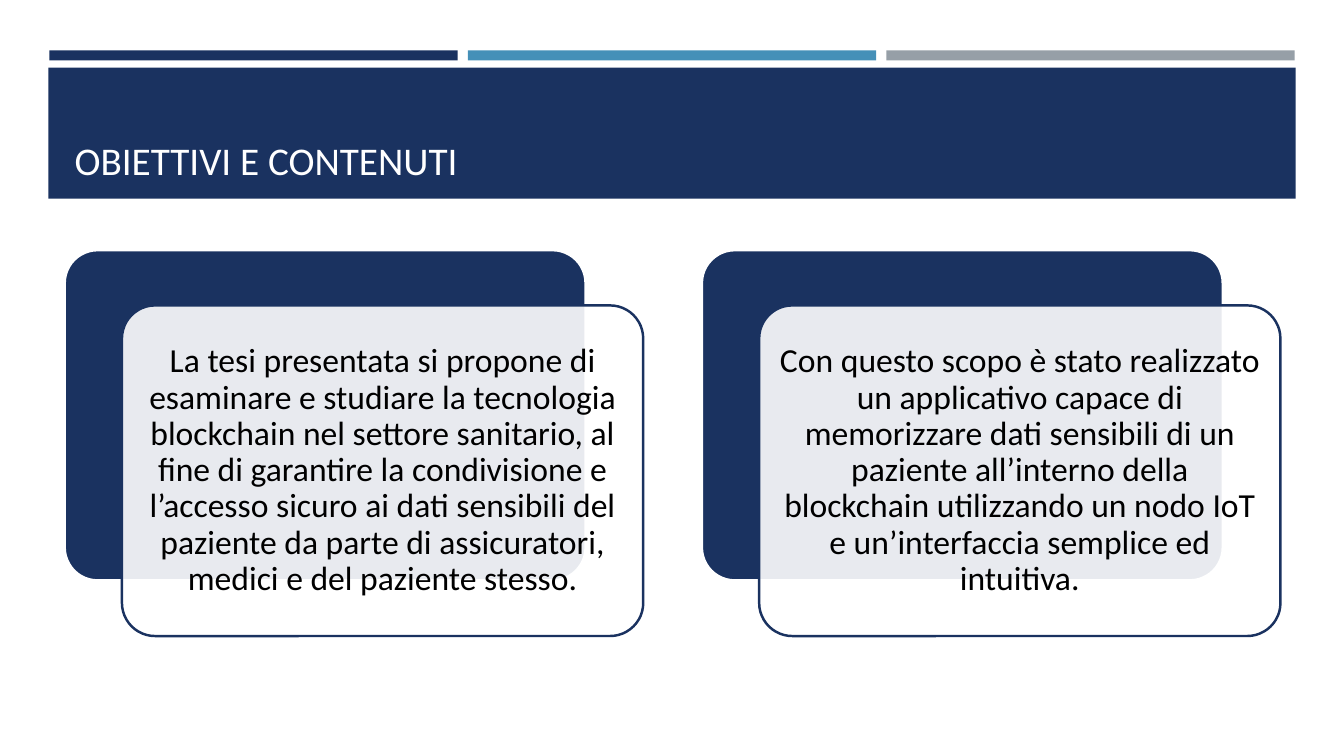
import pptx
import pptx.util
import pptx.dml.color
import pptx.enum.shapes
import pptx.enum.text
import lxml.etree
import pptx.oxml.ns

Inches = pptx.util.Inches
Pt = pptx.util.Pt
RGBColor = pptx.dml.color.RGBColor
MSO_SHAPE = pptx.enum.shapes.MSO_SHAPE
MSO_ANCHOR = pptx.enum.text.MSO_ANCHOR
PP_ALIGN = pptx.enum.text.PP_ALIGN

NAVY = RGBColor(0x1A, 0x32, 0x60)
BLUE = RGBColor(0x45, 0x90, 0xB8)
GREY = RGBColor(0x96, 0x9F, 0xA7)
WHITE = RGBColor(0xFF, 0xFF, 0xFF)
BLACK = RGBColor(0x00, 0x00, 0x00)

GOALS = [
    "La tesi presentata si propone di esaminare e studiare la tecnologia "
    "blockchain nel settore sanitario, al fine di garantire la condivisione "
    "e l’accesso sicuro ai dati sensibili del paziente da parte di "
    "assicuratori, medici e del paziente stesso.",
    "Con questo scopo è stato realizzato un applicativo capace di "
    "memorizzare dati sensibili di un paziente all’interno della blockchain "
    "utilizzando un nodo IoT e un’interfaccia semplice ed intuitiva.",
]

presentation = pptx.Presentation()
presentation.slide_width = Inches(13.33)
presentation.slide_height = Inches(7.5)
slide = presentation.slides.add_slide(presentation.slide_layouts[5])


def add_block(kind, left, top, width, height, fill):
    block = slide.shapes.add_shape(
        kind, Inches(left), Inches(top), Inches(width), Inches(height))
    block.shadow.inherit = False
    block.fill.solid()
    block.fill.fore_color.rgb = fill
    block.line.fill.background()
    return block


def format_text(frame, size, color, anchor, alignment):
    frame.word_wrap = True
    frame.auto_size = pptx.enum.text.MSO_AUTO_SIZE.NONE
    frame.vertical_anchor = anchor
    frame.margin_left = frame.margin_right = Inches(0.1)
    paragraph = frame.paragraphs[0]
    paragraph.alignment = alignment
    paragraph.line_spacing = 0.9
    font = paragraph.runs[0].font
    font.name = "Calibri"
    font.size = Pt(size)
    font.color.rgb = color


for column, color in enumerate([NAVY, BLUE, GREY]):
    add_block(MSO_SHAPE.RECTANGLE, 0.49 + column * 4.15, 0.5, 4.05, 0.1, color)
add_block(MSO_SHAPE.RECTANGLE, 0.48, 0.67, 12.37, 1.3, NAVY)

title = slide.shapes.title
title.left, title.top = Inches(0.64), Inches(0.77)
title.width, title.height = Inches(12.06), Inches(1.11)
title.text_frame.text = "OBIETTIVI E CONTENUTI"
format_text(title.text_frame, 28, WHITE, MSO_ANCHOR.BOTTOM, PP_ALIGN.LEFT)
title.element.getparent().append(title.element)

for column, goal in enumerate(GOALS):
    left = 0.64 + column * 6.32
    backing = add_block(MSO_SHAPE.ROUNDED_RECTANGLE, left, 2.48, 5.17, 3.28, NAVY)
    backing.adjustments[0] = 0.1
    backing.line.color.rgb = WHITE
    backing.line.width = Pt(2)

    card = add_block(MSO_SHAPE.ROUNDED_RECTANGLE, left + 0.57, 3.03, 5.17, 3.28, WHITE)
    card.adjustments[0] = 0.1
    card.line.color.rgb = NAVY
    card.line.width = Pt(1.75)
    card_color = card.element.spPr.find(pptx.oxml.ns.qn("a:solidFill"))[0]
    lxml.etree.SubElement(card_color, pptx.oxml.ns.qn("a:alpha"), val="90000")
    card.text_frame.text = goal
    card.text_frame.margin_top = card.text_frame.margin_bottom = Inches(0.1)
    format_text(card.text_frame, 24, BLACK, MSO_ANCHOR.MIDDLE, PP_ALIGN.CENTER)

presentation.save("out.pptx")
